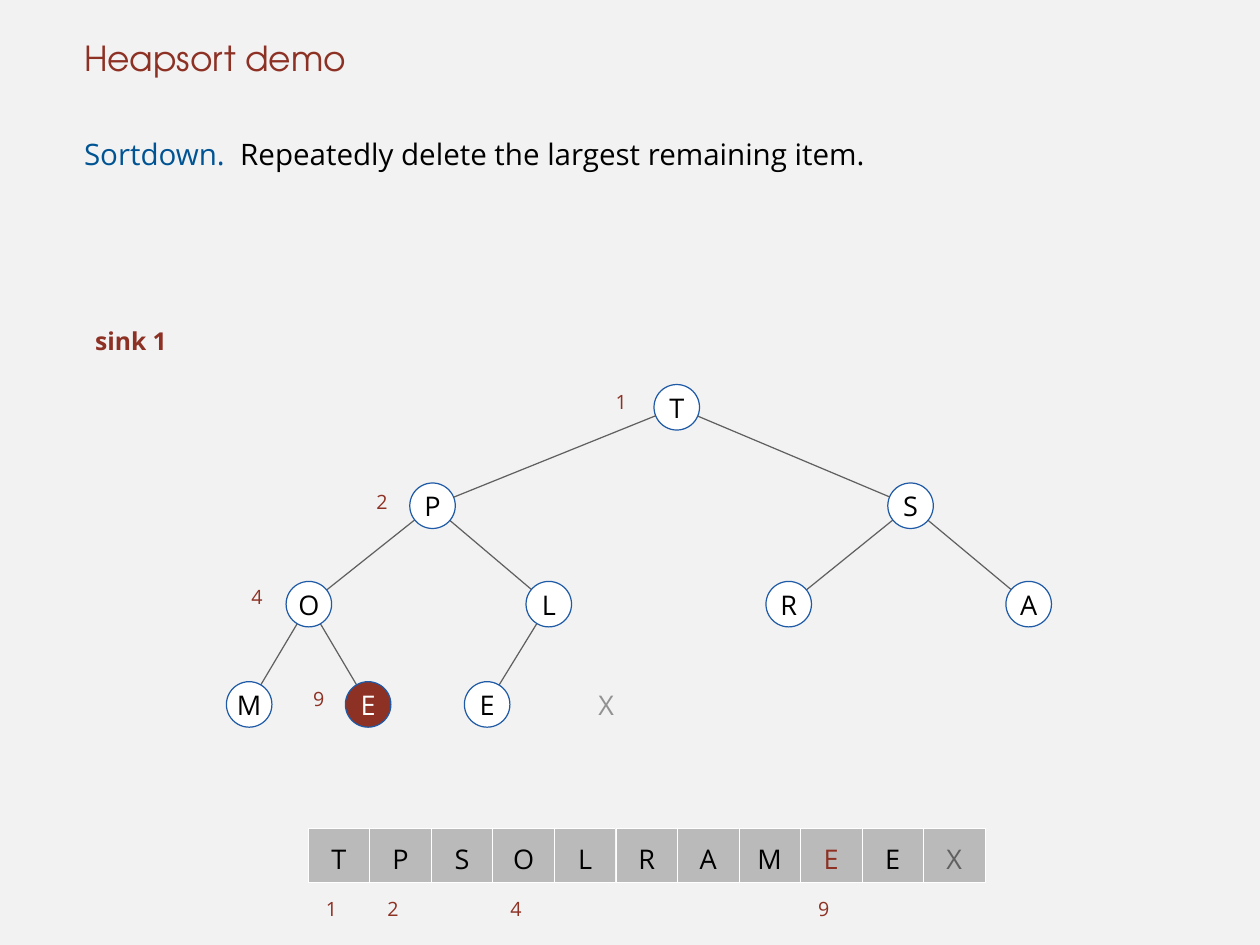
from lxml.etree import SubElement
from pptx import Presentation
from pptx.dml.color import RGBColor
from pptx.enum.shapes import MSO_CONNECTOR, MSO_SHAPE
from pptx.enum.text import MSO_ANCHOR, MSO_AUTO_SIZE, PP_ALIGN
from pptx.oxml.ns import qn
from pptx.util import Pt

BACKGROUND = RGBColor(0xF2, 0xF2, 0xF2)
BLACK = RGBColor(0, 0, 0)
WHITE = RGBColor(0xFF, 0xFF, 0xFF)
RED = RGBColor(0x8D, 0x31, 0x24)
BLUE = RGBColor(0x00, 0x54, 0x93)
OUTLINE = RGBColor(0x1F, 0x5A, 0xA6)
DARK_GRAY = RGBColor(0x60, 0x60, 0x60)
LIGHT_GRAY = RGBColor(0x92, 0x92, 0x92)
CELL_GRAY = RGBColor(0xBA, 0xBA, 0xBA)

TITLE = "Heapsort demo"
SUMMARY = [("Sortdown.  ", BLUE), ("Repeatedly delete the largest remaining item.", BLACK)]
STEP = "sink 1"
ITEMS = "TPSOLRAMEEX"
HEAP_SIZE = 10
SINKING = 9
# Heap index of each node on the sink path: offset of its label from the node centre
SINK_PATH = {1: (-54, -14), 2: (-50, -13), 4: (-51, -16), 9: (-49, -14)}

# One tuple a tree level: first centre, gap between centres, vertical centre
LEVELS = [(550, 0, 331), (351.5, 388.5, 411), (251, 195, 491), (202.5, 96.7, 572.5)]
NODE_SIZE = 37
CELL_LEFT, CELL_TOP, CELL_PITCH, CELL_HEIGHT = 250.5, 673, 50, 44
INDENT = 4.3


def node_center(index):
    level = index.bit_length() - 1
    first, gap, y = LEVELS[level]
    return first + gap * (index - 2 ** level), y


def write(shape, runs, size=22, color=BLACK, font="Open Sans", bold=False, indent=0,
          align=PP_ALIGN.LEFT, anchor=MSO_ANCHOR.TOP, spacing=None):
    """Fill a shape with one paragraph; runs is a string or a list of (text, colour)."""
    frame = shape.text_frame
    frame.word_wrap = True
    frame.auto_size = MSO_AUTO_SIZE.NONE
    frame.vertical_anchor = anchor
    frame.margin_left = Pt(indent)
    frame.margin_right = frame.margin_top = frame.margin_bottom = 0
    paragraph = frame.paragraphs[0]
    paragraph.alignment = align
    paragraph.line_spacing = spacing
    for text, run_color in ([(runs, color)] if isinstance(runs, str) else runs):
        run = paragraph.add_run()
        run.text = text
        run.font.name = font
        run.font.size = Pt(size)
        run.font.bold = bold
        run.font.color.rgb = run_color


def add_text(slide, runs, left, top, width, height, **text_format):
    box = slide.shapes.add_textbox(Pt(left), Pt(top), Pt(width), Pt(height))
    write(box, runs, **text_format)


def add_box(slide, kind, text, left, top, width, height, fill, line, line_width, **text_format):
    shape = slide.shapes.add_shape(kind, Pt(left), Pt(top), Pt(width), Pt(height))
    shape.shadow.inherit = False
    shape.fill.solid()
    shape.fill.fore_color.rgb = fill
    shape.line.color.rgb = line
    shape.line.width = Pt(line_width)
    write(shape, text, align=PP_ALIGN.CENTER, anchor=MSO_ANCHOR.MIDDLE, **text_format)


def add_edge(slide, parent, child):
    ends = [Pt(value) for value in node_center(parent) + node_center(child)]
    edge = slide.shapes.add_connector(MSO_CONNECTOR.STRAIGHT, *ends)
    edge.line.color.rgb = DARK_GRAY
    edge.line.width = Pt(1)
    SubElement(edge._element.spPr, qn("a:effectLst"))


def add_tree(slide):
    for child in range(2, HEAP_SIZE + 1):
        add_edge(slide, child // 2, child)
    for index, item in enumerate(ITEMS, 1):
        x, y = node_center(index)
        place = (x - NODE_SIZE / 2, y - NODE_SIZE / 2, NODE_SIZE, NODE_SIZE)
        if index > HEAP_SIZE:
            add_text(slide, item, *place, color=LIGHT_GRAY,
                     align=PP_ALIGN.CENTER, anchor=MSO_ANCHOR.MIDDLE)
        else:
            fill, color = (RED, WHITE) if index == SINKING else (WHITE, BLACK)
            add_box(slide, MSO_SHAPE.OVAL, item, *place, fill, OUTLINE, 1, color=color)
    for index, (dx, dy) in SINK_PATH.items():
        x, y = node_center(index)
        add_text(slide, str(index), x + dx, y + dy, 24, 26, size=16, color=RED, indent=INDENT)


def add_array(slide):
    for index, item in enumerate(ITEMS, 1):
        left = CELL_LEFT + CELL_PITCH * (index - 1)
        color = RED if index == SINKING else DARK_GRAY if index > HEAP_SIZE else BLACK
        add_box(slide, MSO_SHAPE.RECTANGLE, item, left, CELL_TOP, CELL_PITCH, CELL_HEIGHT,
                CELL_GRAY, WHITE, 0.5, color=color, spacing=1.2)
        if index in SINK_PATH:
            add_text(slide, str(index), left + 10, 719.3, 24, 26, size=16, color=RED,
                     indent=INDENT, spacing=1.5)


def main():
    presentation = Presentation()
    presentation.slide_width, presentation.slide_height = Pt(1024), Pt(768)
    slide = presentation.slides.add_slide(presentation.slide_layouts[5])
    slide.background.fill.solid()
    slide.background.fill.fore_color.rgb = BACKGROUND

    title = slide.shapes.title
    title.left, title.top, title.width, title.height = Pt(64), Pt(0), Pt(896), Pt(64)
    write(title, TITLE, size=28, color=RED, font="TeX Gyre Adventor", indent=INDENT,
          anchor=MSO_ANCHOR.BOTTOM)
    add_text(slide, SUMMARY, 64, 100, 896, 40, size=24, indent=INDENT, spacing=Pt(39))
    add_text(slide, STEP, 73, 253, 77, 31, size=20, color=RED, bold=True, indent=INDENT,
             spacing=1.5)
    add_tree(slide)
    add_array(slide)
    presentation.save("out.pptx")


if __name__ == "__main__":
    main()
